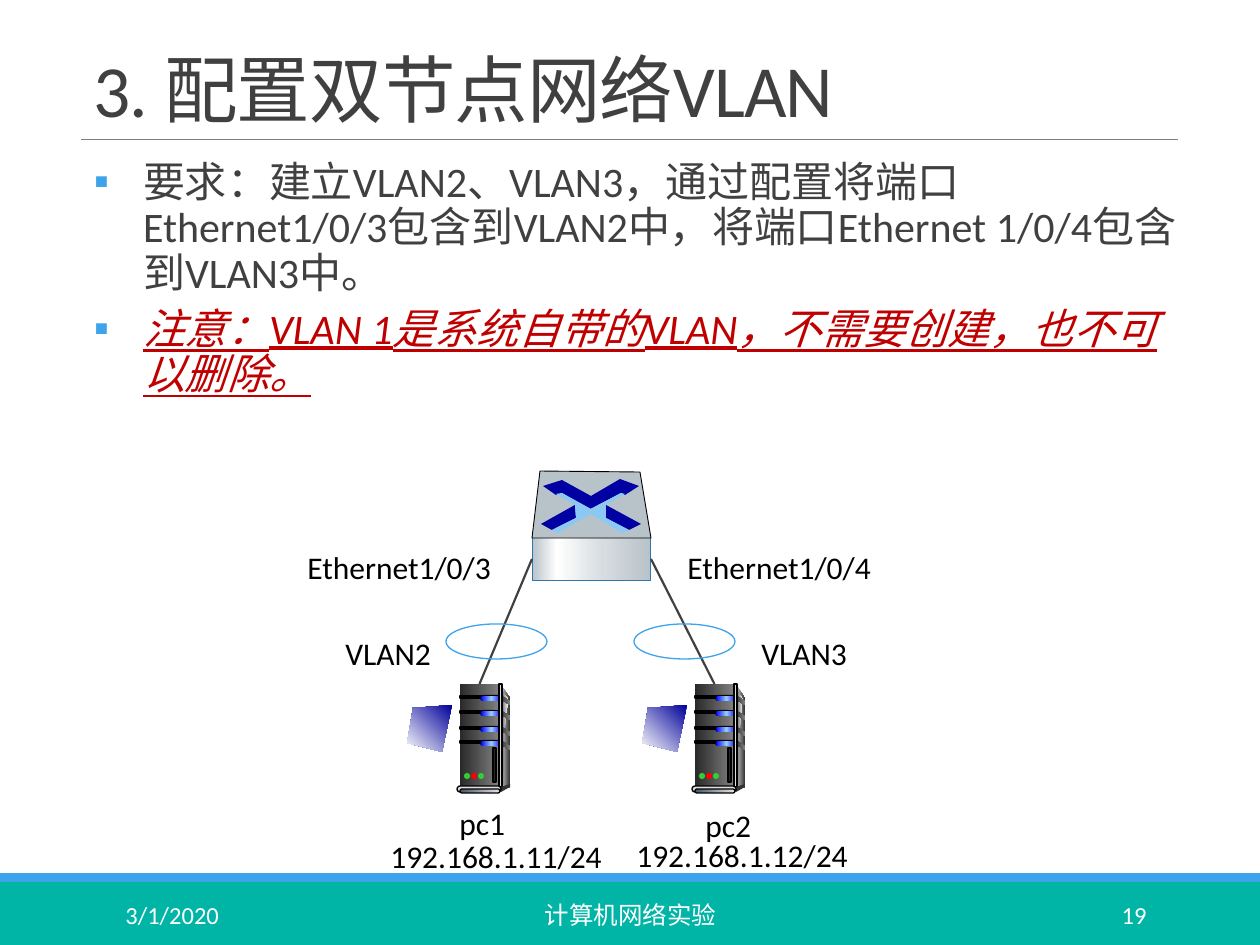
from lxml.etree import SubElement
from pptx import Presentation
from pptx.dml.color import RGBColor
from pptx.enum.shapes import MSO_CONNECTOR, MSO_SHAPE
from pptx.enum.text import MSO_ANCHOR, MSO_AUTO_SIZE, PP_ALIGN
from pptx.oxml.ns import qn
from pptx.util import Pt

RECT, ROUND, OVAL = MSO_SHAPE.RECTANGLE, MSO_SHAPE.ROUNDED_RECTANGLE, MSO_SHAPE.OVAL
LEFT, MID, RIGHT = PP_ALIGN.LEFT, PP_ALIGN.CENTER, PP_ALIGN.RIGHT
STRAIGHT = MSO_CONNECTOR.STRAIGHT
PX = 914400 / 126


class Theme:
    font = "Calibri"
    title, body, label, foot = Pt(42), Pt(24), Pt(18), Pt(14)
    text, note, black, white = "404040", "C00000", "000000", "FFFFFF"
    blue, teal, rule, edge = "3DA3ED", "00B4A6", "808080", "2D79AF"
    steel, navy, sky = "B8C2C9", "0000A3", "8BC8F4"
    dark, coal, pale = "292929", "333333", "DDDDDD"
    green, red = "33CC33", "FF0000"
    case = ((0, dark), (100, "808080"))
    side = ((0, pale), (100, coal))
    shine = ((0, "808080"), (100, "F8F8F8"))
    lamp = ((0, "0000FF"), (50, "99CCFF"), (100, "0000FF"))
    strip = ((0, coal), (50, pale), (100, coal))
    base = ((0, "44546A"), (100, "E7E6E6"))
    screen = ((0, "000099"), (100, white))
    metal = ((0, steel), (21, white), (60, "D6DCE0"), (100, steel))


def draw(pool, form, spot, fill=None, edge=None, width=0.75, turn=0):
    """Add a preset shape in a box, or an outline through points if form is None.

    A fill is a colour or a tuple of (percent, colour) gradient stops.
    """
    if form is None:
        pen = pool.build_freeform(*spot[0], scale=PX)
        pen.add_line_segments(spot[1:], close=True)
        item = pen.convert_to_shape()
    else:
        item = pool.add_shape(form, *[round(v * PX) for v in spot])
    if form == ROUND:
        item.adjustments[0] = 0.5
    item.shadow.inherit = False
    if fill is None:
        item.fill.background()
    elif isinstance(fill, str):
        item.fill.solid()
        item.fill.fore_color.rgb = RGBColor.from_string(fill)
    else:
        item.fill.gradient()
        item.fill.gradient_angle = (360 - turn) % 360
        stops = item._element.spPr.find(qn("a:gradFill")).find(qn("a:gsLst"))
        stops.clear()
        for pos, tone in fill:
            stop = SubElement(stops, qn("a:gs"), pos=str(pos * 1000))
            SubElement(stop, qn("a:srgbClr"), val=tone)
    if edge:
        item.line.color.rgb = RGBColor.from_string(edge)
        item.line.width = Pt(width)
    else:
        item.line.fill.background()
    return item


def write(para, text, size, tone, align=LEFT):
    para.text = text
    para.alignment = align
    para.font.name = Theme.font
    para.font.size = size
    para.font.color.rgb = RGBColor.from_string(tone)


deck = Presentation()
deck.slide_width, deck.slide_height = round(1260 * PX), round(945 * PX)
slide = deck.slides.add_slide(deck.slide_layouts[1])
pool = slide.shapes
title, body = slide.placeholders

# Page frame
draw(pool, RECT, (0, 873, 1260, 9), Theme.blue)
draw(pool, RECT, (0, 882, 1260, 63), Theme.teal)
rule = pool.add_connector(STRAIGHT, *[round(v * PX) for v in (81, 139, 1178, 139)])
rule.line.color.rgb = RGBColor.from_string(Theme.rule)
rule.line.width = Pt(0.5)
SubElement(rule._element.spPr, qn("a:effectLst"))

# Title and requirements
for holder, top, tall in (title, 39, 100), (body, 155, 701):
    holder.left, holder.top, holder.width, holder.height = [
        round(v * PX) for v in (81, top, 1097, tall)]
    holder.text_frame.word_wrap = True
    holder.text_frame.auto_size = MSO_AUTO_SIZE.NONE
title.text_frame.vertical_anchor = MSO_ANCHOR.BOTTOM
head = title.text_frame.paragraphs[0]
write(head, "3. 配置双节点网络VLAN", Theme.title, Theme.text)
head.line_spacing = 0.85
head.runs[0]._r.get_or_add_rPr().set("spc", "-50")

frame = body.text_frame
frame.margin_left = frame.margin_right = 0
points = (
    ("要求：建立VLAN2、VLAN3，通过配置将端口Ethernet1/0/3包含到VLAN2中，"
     "将端口Ethernet 1/0/4包含到VLAN3中。", Theme.text),
    ("注意：VLAN 1是系统自带的VLAN，不需要创建，也不可以删除。", Theme.note),
)
for i, (text, tone) in enumerate(points):
    para = frame.add_paragraph() if i else frame.paragraphs[0]
    para.line_spacing = 0.9
    para.space_before, para.space_after = Pt(2 * i), Pt(4)
    props = para._p.get_or_add_pPr()
    props.set("marL", str(round(62 * PX)))
    props.set("indent", str(round(-49 * PX)))
    SubElement(SubElement(props, qn("a:buClr")), qn("a:srgbClr"), val=Theme.blue)
    SubElement(props, qn("a:buFont"), typeface=Theme.font)
    SubElement(props, qn("a:buChar"), char="▪")
    write(para, text, Theme.body, tone)
para.font.italic = para.font.underline = True

# Computers
fronts = []
for x, y in (407, 684), (642, 684):
    parts = pool.add_group_shape().shapes

    def trace(*spots):
        return [(x + a, y + b) for a, b in spots]

    draw(parts, None, trace((94, 1), (103, 14), (103, 100), (93, 105)), Theme.side)
    fronts.append(draw(parts, RECT, (x + 53, y, 39, 103), Theme.case))
    draw(parts, None, trace((96, 8), (101, 15), (97, 50), (96, 101)), Theme.shine)
    for row in 11, 26, 42, 56:
        draw(parts, None, trace((93, row), (103, row + 6), (103, row + 10),
                                (93, row + 4)), Theme.case)
        draw(parts, RECT, (x + 53, y + row + 1, 23, 2), Theme.black, Theme.black)
        draw(parts, ROUND, (x + 73, y + row, 21, 6), Theme.black)
        draw(parts, ROUND, (x + 74, y + row + 1, 21, 5), Theme.lamp)
    draw(parts, RECT, (x + 92, y, 3, 103), Theme.strip, Theme.black)
    draw(parts, OVAL, (x + 102, y + 100, 1, 4), Theme.coal)
    draw(parts, None, trace((94, 103), (94, 108), (103, 103), (103, 100)), Theme.coal)
    draw(parts, ROUND, (x + 50, y + 102, 44, 6), Theme.pale, Theme.black)
    draw(parts, ROUND, (x + 53, y + 105, 40, 4), Theme.base, Theme.black)
    for i, tone in enumerate((Theme.green, Theme.red, Theme.green)):
        draw(parts, OVAL, (x + 57 + 7 * i, y + 89, 6, 6), tone)
    draw(parts, RECT, (x + 86, y + 64, 3, 34), Theme.dark, Theme.black)
    draw(parts, None, trace((45, 21), (6, 24), (0, 59), (35, 68)), Theme.screen, turn=135)

# Switch and its cables
box = draw(pool, RECT, (532, 537, 119, 44), Theme.metal, Theme.edge, 0.5)
for front, site in zip(fronts, (1, 3)):
    cable = pool.add_connector(STRAIGHT, 0, 0, 0, 0)
    cable.begin_connect(front, 0)
    cable.end_connect(box, site)
    cable.line.color.rgb = RGBColor.from_string(Theme.text)
    cable.line.width = Pt(1.25)
    SubElement(cable._element.spPr, qn("a:effectLst"))
draw(pool, None, [(532, 538), (540, 471), (640, 472), (651, 538)],
     Theme.steel, Theme.black, 0.5)
arrows = (
    ([(620, 479), (639, 486), (625, 495), (621, 493), (590, 509), (562, 493),
      (556, 495), (543, 486), (562, 480), (591, 496)], Theme.navy),
    ([(606, 505), (641, 524), (629, 530), (606, 518)], Theme.navy),
    ([(575, 505), (576, 518), (552, 530), (541, 524)], Theme.navy),
    ([(556, 494), (562, 493), (591, 509), (621, 493), (625, 494), (606, 505),
      (606, 518), (629, 530), (622, 533), (591, 514), (558, 533), (552, 530),
      (576, 518), (575, 505)], Theme.sky),
)
for spots, tone in arrows:
    draw(pool, None, spots, tone)
for x in 446, 634:
    draw(pool, OVAL, (x, 624, 101, 35), edge=Theme.blue)

# Labels and footer
labels = (
    ("Ethernet1/0/3", 295, 542, 212), ("Ethernet1/0/4", 675, 542, 212),
    ("VLAN2", 333, 628, 112), ("VLAN3", 749, 628, 112),
    ("pc1", 447, 798, 72), ("pc2", 693, 800, 72),
    ("192.168.1.11/24", 378, 831, 239), ("192.168.1.12/24", 624, 830, 239),
)
for text, x, y, wide in labels:
    label = pool.add_textbox(*[round(v * PX) for v in (x, y, wide, 50)]).text_frame
    label.word_wrap = False
    label.auto_size = MSO_AUTO_SIZE.SHAPE_TO_FIT_TEXT
    write(label.paragraphs[0], text, Theme.label, Theme.black)
for text, x, wide, align in (("3/1/2020", 113, 256, LEFT),
                             ("计算机网络实验", 381, 499, MID), ("19", 1023, 136, RIGHT)):
    foot = pool.add_textbox(*[round(v * PX) for v in (x, 890, wide, 50)]).text_frame
    foot.word_wrap = True
    foot.vertical_anchor = MSO_ANCHOR.MIDDLE
    write(foot.paragraphs[0], text, Theme.foot, Theme.white, align)

deck.save("out.pptx")
